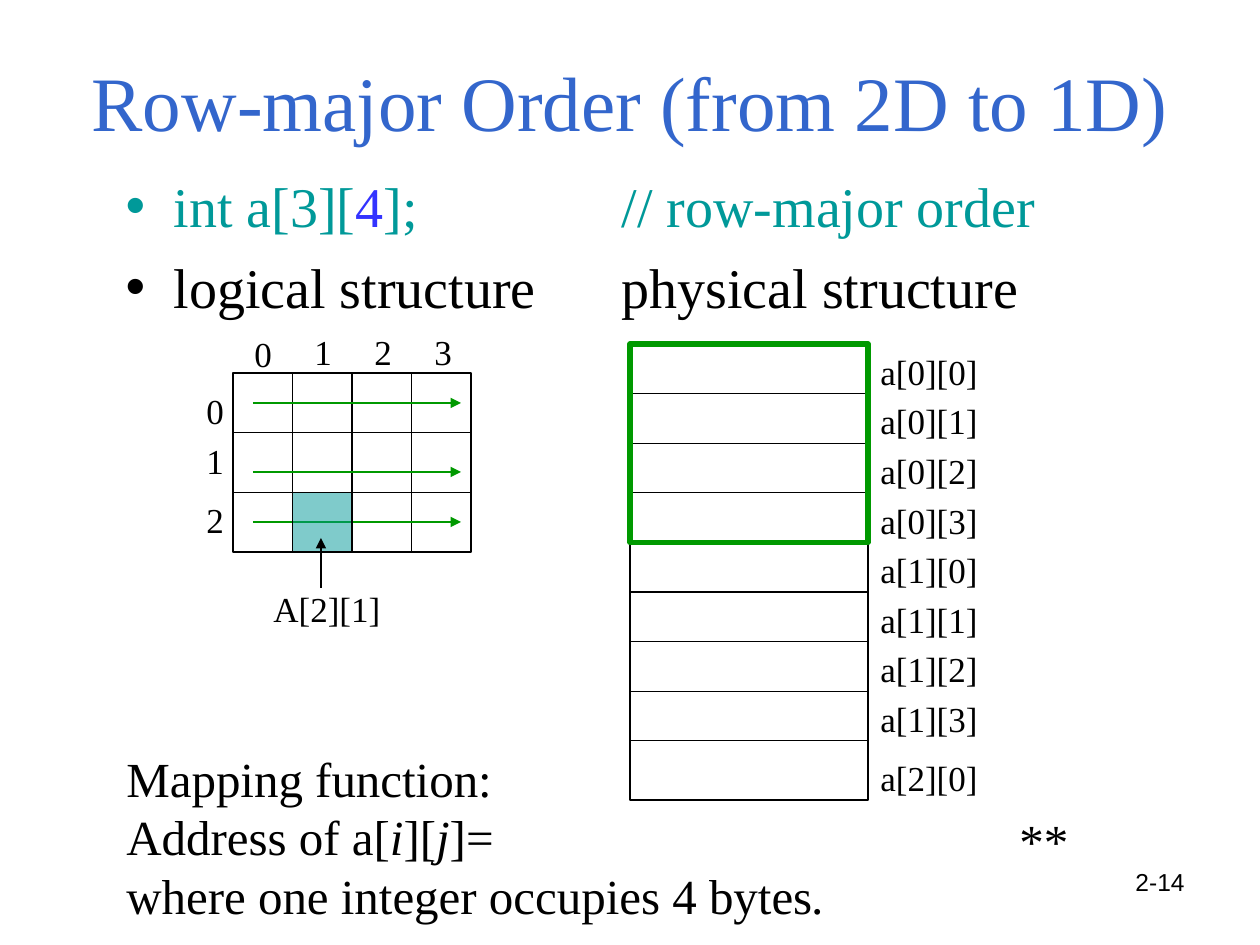
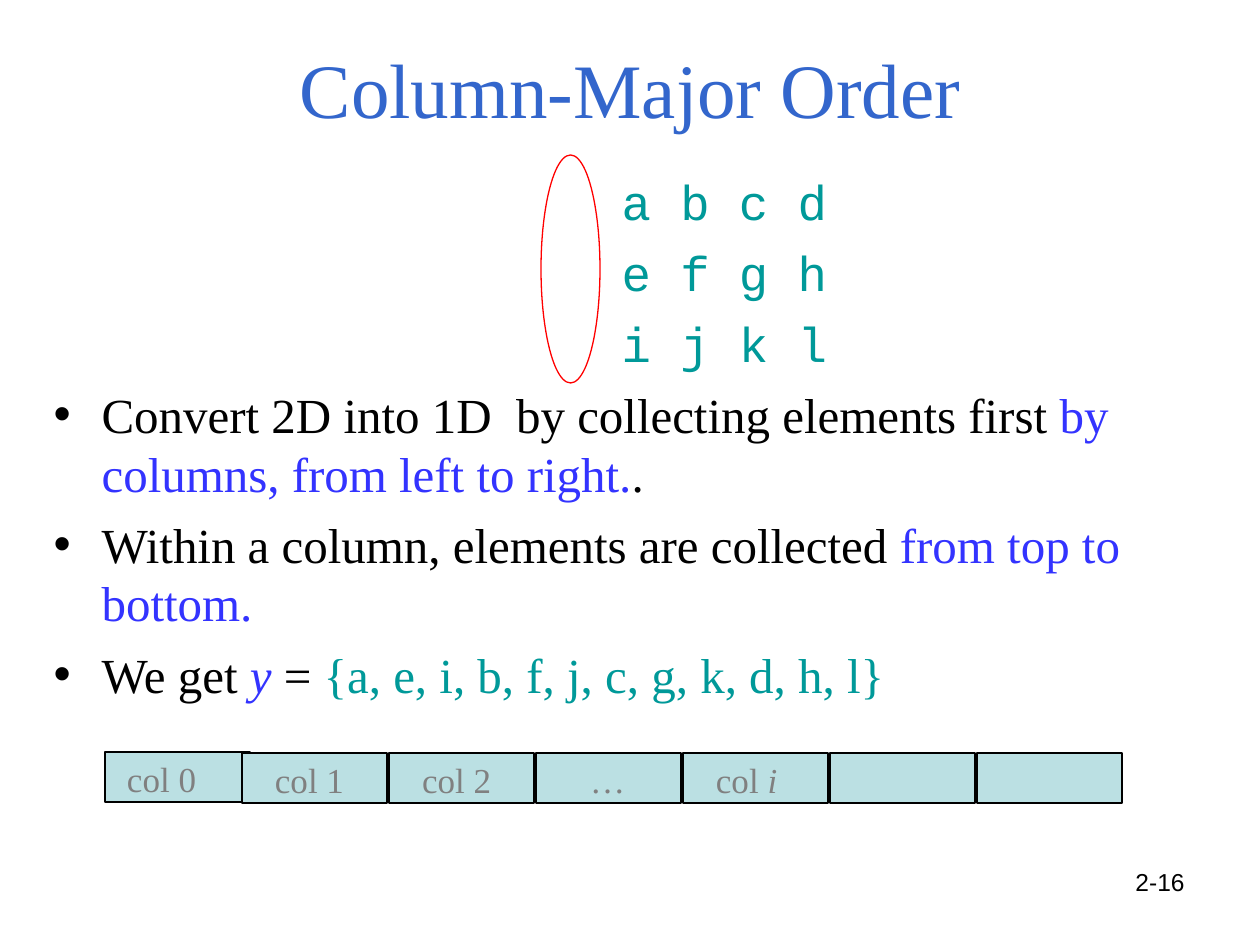
from pptx import Presentation
from pptx.dml.color import RGBColor
from pptx.enum.shapes import MSO_CONNECTOR, MSO_SHAPE
from pptx.enum.text import MSO_ANCHOR, MSO_AUTO_SIZE, PP_ALIGN
from pptx.oxml.ns import qn
from pptx.util import Emu, Pt
from lxml.etree import SubElement

PX = 914400 / 126
COLORS = {"title": "3366CC", "code": "009999", "accent": "3333FF", "text": "000000",
          "green": "009900", "red": "FF0000", "cell": "BBE0E3", "label": "808080"}
SERIF, MONO, SANS = "Times New Roman", "Courier New", "Arial"
LINE_RATIO = 1.2


def px(length):
    """Turn pixels into EMU."""
    return Emu(round(length * PX))


def rgb(name):
    """Look up a named colour."""
    return RGBColor.from_string(COLORS[name])


def format_font(font, size, color="text", name=SERIF, italic=False):
    """Set the look of a run."""
    font.size, font.name, font.italic = Pt(size), name, italic
    font.color.rgb = rgb(color)


def fill_paragraph(paragraph, runs, size, name=SERIF):
    """Add (text, colour, italic) runs to a paragraph."""
    for text, color, italic in runs:
        run = paragraph.add_run()
        run.text = text
        format_font(run.font, size, color, name, italic)


def set_indent(paragraph, left, bullet=None, tab=None):
    """Set the indent, the bullet colour and one tab stop of a paragraph."""
    properties = paragraph._p.get_or_add_pPr()
    properties.set("marL", str(px(left)))
    properties.set("indent", str(-px(left) if bullet else 0))
    if bullet:
        color = SubElement(properties, qn("a:buClr"))
        SubElement(color, qn("a:srgbClr"), val=COLORS[bullet])
        SubElement(properties, qn("a:buChar"), char="•")
    else:
        SubElement(properties, qn("a:buNone"))
    if tab:
        tabs = SubElement(properties, qn("a:tabLst"))
        SubElement(tabs, qn("a:tab"), pos=str(px(tab)), algn="l")


def set_spacing(paragraph, size, before):
    """Set the line height and the space before a paragraph."""
    paragraph.line_spacing = Pt(round(size * LINE_RATIO, 1))
    paragraph.space_before = Pt(before)


def paragraphs_of(text_frame, count):
    """Return the given number of paragraphs of an empty text frame."""
    return [text_frame.paragraphs[0]] + [text_frame.add_paragraph() for _ in range(count - 1)]


def move(shape, box):
    """Place a shape in a box of pixels."""
    shape.left, shape.top, shape.width, shape.height = map(px, box)


def add_text(slide, box, text, size=20, name=SERIF, wrap=False, align=PP_ALIGN.LEFT):
    """Add a text box with one line of text."""
    shape = slide.shapes.add_textbox(*map(px, box))
    shape.text_frame.word_wrap = wrap
    shape.text_frame.text = text
    paragraph = shape.text_frame.paragraphs[0]
    paragraph.alignment = align
    for run in paragraph.runs:
        format_font(run.font, size, name=name)
    return shape


def add_outline(slide, box, kind=MSO_SHAPE.RECTANGLE, color="text", width=0.75, fill=None):
    """Add a preset shape with a line and an optional fill."""
    shape = slide.shapes.add_shape(kind, *map(px, box))
    shape.shadow.inherit = False
    shape.line.color.rgb = rgb(color)
    shape.line.width = Pt(width)
    if fill:
        shape.fill.solid()
        shape.fill.fore_color.rgb = rgb(fill)
    else:
        shape.fill.background()
    return shape


def add_line(slide, start, end, color="text", arrow=False):
    """Add a straight line, with an arrowhead at its end if asked."""
    line = slide.shapes.add_connector(MSO_CONNECTOR.STRAIGHT, *map(px, (*start, *end)))
    line.line.color.rgb = rgb(color)
    line.line.width = Pt(0.75)
    if arrow:
        SubElement(line.line._get_or_add_ln(), qn("a:tailEnd"), type="triangle")
    SubElement(line._element.spPr, qn("a:effectLst"))
    return line


def add_slide(presentation, title, title_box, anchor, body_box, number):
    """Add a slide with its title, page number and empty body; return slide and body text."""
    slide = presentation.slides.add_slide(presentation.slide_layouts[1])
    heading, body = slide.shapes.title, slide.placeholders[1]
    move(heading, title_box)
    move(body, body_box)
    heading.text_frame.text = title
    heading.text_frame.vertical_anchor = anchor
    heading.text_frame.paragraphs[0].alignment = PP_ALIGN.CENTER
    format_font(heading.text_frame.paragraphs[0].runs[0].font, 44, "title")
    for shape in (heading, body):
        shape.text_frame.auto_size = MSO_AUTO_SIZE.NONE
    add_text(slide, (903, 861, 294, 66), number, 14, SANS, True, PP_ALIGN.RIGHT)
    return slide, body.text_frame


def add_logical_grid(slide, left, top, width, height):
    """Draw the 3 by 4 array with its indices, row arrows and marked element."""
    row, column = height / 3, width / 4
    grid = add_outline(slide, (left, top, width, height))
    for index in range(1, 3):
        y = top + index * row
        add_line(slide, (left, y), (left + width, y))
    for index in range(1, 4):
        x = left + index * column
        divider = add_line(slide, (x, top), (x, top + height))
        if index == 2:
            divider.begin_connect(grid, 0)
            divider.end_connect(grid, 2)
    for index, rise in enumerate((47, 49, 49, 49)):
        add_text(slide, (left + 9 + index * 60, top - rise, 43, 55), str(index))
    for index, drop in enumerate((10, 60, 119)):
        add_text(slide, (left - 39, top + drop, 43, 55), str(index))
    for drop in (30, 99, 149):
        add_line(slide, (left + 20, top + drop), (left + 228, top + drop), "green", True)
    element = add_outline(slide, (left + column, top + 2 * row, column, row), fill="code")
    color = element._element.spPr.find(qn("a:solidFill")).find(qn("a:srgbClr"))
    SubElement(color, qn("a:alpha"), val="50000")
    add_line(slide, (left + 88, top + 215), (left + 88, top + 165), arrow=True)
    add_text(slide, (left + 28, top + 208, 140, 55), "A[2][1]")


def add_physical_stack(slide, left, top, width, height):
    """Draw the memory cells, their names and the frame around the first row."""
    pitch = 49.6
    add_outline(slide, (left, top, width, height))
    dividers = []
    for index in range(9):
        y = top + index * pitch
        if index:
            dividers.append(add_line(slide, (left, y), (left + width, y)))
        label_top = y + 9 if index == 8 else y
        add_text(slide, (left + width, label_top, 140, 55), f"a[{index // 4}][{index % 4}]")
    frame = add_outline(slide, (left, top, width, 4 * pitch), color="green", width=3)
    dividers[1].begin_connect(frame, 1)
    dividers[1].end_connect(frame, 3)


def add_mapping_function(slide, left, top, width, height):
    """Write the address rule at the foot of the slide."""
    lines = [[("Mapping function:", "text", False)],
             [("Address of a[", "text", False), ("i", "text", True), ("][", "text", False),
              ("j", "text", True), ("]=", "text", False)],
             [("where one integer occupies 4 bytes", "text", False), (".", "text", True)]]
    text_frame = slide.shapes.add_textbox(*map(px, (left, top, width, height))).text_frame
    text_frame.word_wrap = True
    for paragraph, runs in zip(paragraphs_of(text_frame, len(lines)), lines):
        set_spacing(paragraph, 28, 0)
        fill_paragraph(paragraph, runs, 28)
    add_text(slide, (left + 893, top + 62, 90, 69), "**", 28)


def build_row_major(presentation):
    """Build the row-major slide."""
    slide, body = add_slide(presentation, "Row-major Order (from 2D to 1D)", (63, 26, 1134, 127),
                            MSO_ANCHOR.BOTTOM, (113, 165, 1081, 704), "2-14")
    lines = [("code", [("int a[3][", "code", False), ("4", "accent", False),
                       ("];\t// row-major order", "code", False)]),
             ("text", [("logical structure\tphysical structure", "text", False)])]
    for index, paragraph in enumerate(paragraphs_of(body, len(lines))):
        bullet, runs = lines[index]
        set_indent(paragraph, 48, bullet, 496)
        set_spacing(paragraph, 32, 8 if index else 0)
        fill_paragraph(paragraph, runs, 32)
    add_logical_grid(slide, 233, 373, 238, 179)
    add_physical_stack(slide, 630, 344, 238, 456)
    add_mapping_function(slide, 114, 742, 1032, 189)


def add_column_strip(slide, left, top, width, height):
    """Draw the one-dimensional array of columns."""
    cells = [("col 0", "", 22), ("col 1", "", 33), ("col 2", "", 33), ("…", "", 54),
             ("col ", "i", 33), ("", "", 33), ("", "", 33)]
    for index, (text, variable, inset) in enumerate(cells):
        x = left + 137 + (index - 1) * 147 if index else left
        y = top + 1 if index else top
        cell = add_outline(slide, (x, y, width, height), width=1, fill="cell")
        text_frame = cell.text_frame
        text_frame.vertical_anchor = MSO_ANCHOR.TOP
        text_frame.margin_left, text_frame.margin_top = px(inset), px(6)
        paragraph = text_frame.paragraphs[0]
        paragraph.alignment = PP_ALIGN.LEFT
        runs = [(text, "label", False), (variable, "label", True)]
        fill_paragraph(paragraph, [run for run in runs if run[0]], 20)


def build_column_major(presentation):
    """Build the column-major slide."""
    slide, body = add_slide(presentation, "Column-Major Order", (95, 30, 1071, 116),
                            MSO_ANCHOR.MIDDLE, (41, 165, 1166, 567), "2-16")
    matrix = ["a b c d", "e f g h", "i j k l"]
    points = [[("Convert 2D into 1D  by collecting elements first ", "text", False),
               ("by columns, from left to right.", "accent", False), (".", "text", False)],
              [("Within a column, elements are collected ", "text", False),
               ("from top to bottom.", "accent", False)],
              [("We get ", "text", False), ("y", "accent", True), (" = ", "text", False),
               ("{a, e, i, b, f, j, c, g, k, d, h, l}", "code", False)]]
    lines = [([(row, "code", False)], MONO, 568, None) for row in matrix]
    lines += [(runs, SERIF, 48, "text") for runs in points]
    for index, paragraph in enumerate(paragraphs_of(body, len(lines))):
        runs, name, left, bullet = lines[index]
        set_indent(paragraph, left, bullet)
        set_spacing(paragraph, 28, 7 if index else 0)
        fill_paragraph(paragraph, runs, 28, name)
    add_column_strip(slide, 105, 752, 145, 50)
    add_outline(slide, (541, 155, 59, 228), MSO_SHAPE.OVAL, "red")


def main():
    """Build and save the presentation."""
    presentation = Presentation()
    presentation.slide_width, presentation.slide_height = px(1260), px(945)
    build_row_major(presentation)
    build_column_major(presentation)
    presentation.save("out.pptx")


if __name__ == "__main__":
    main()
